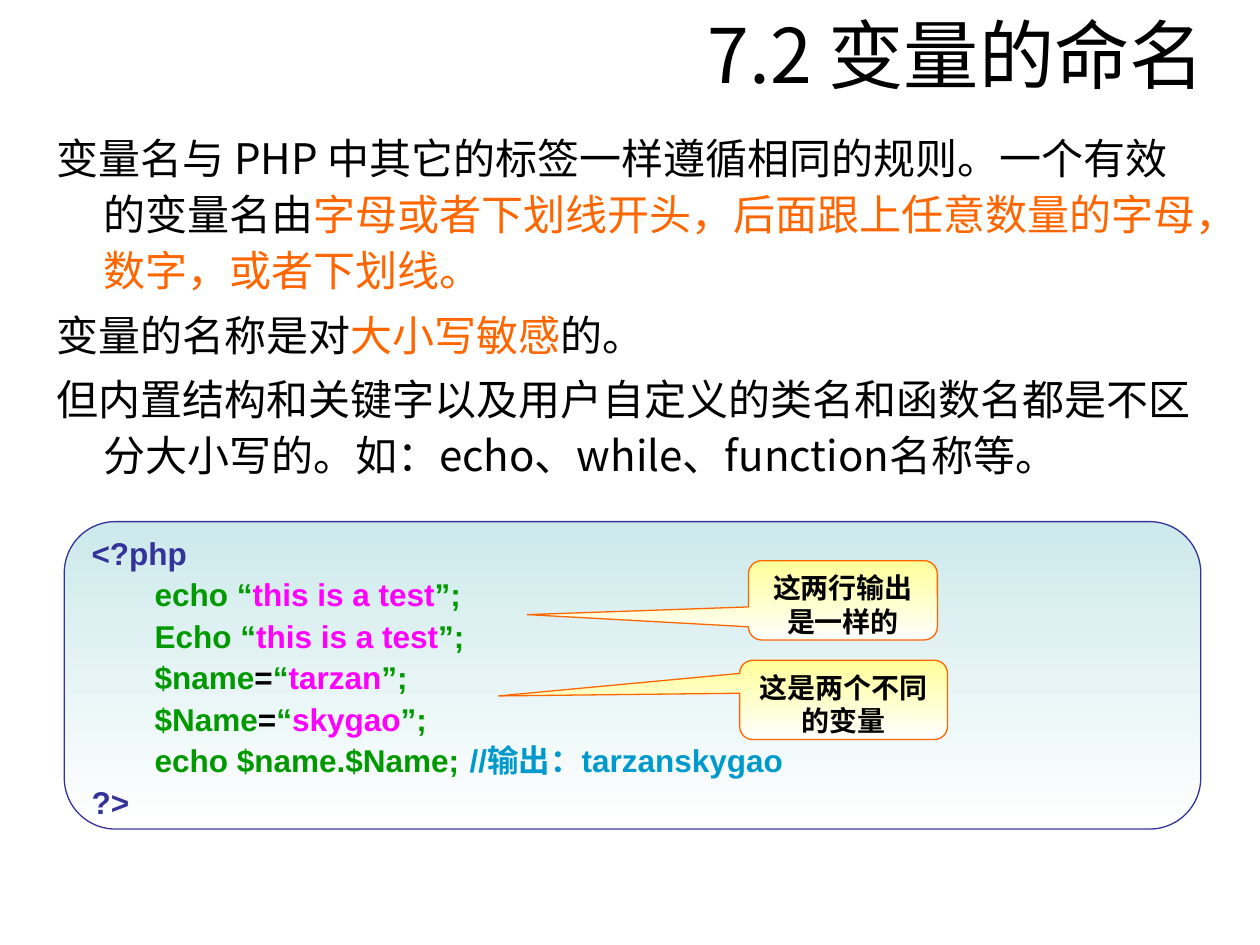
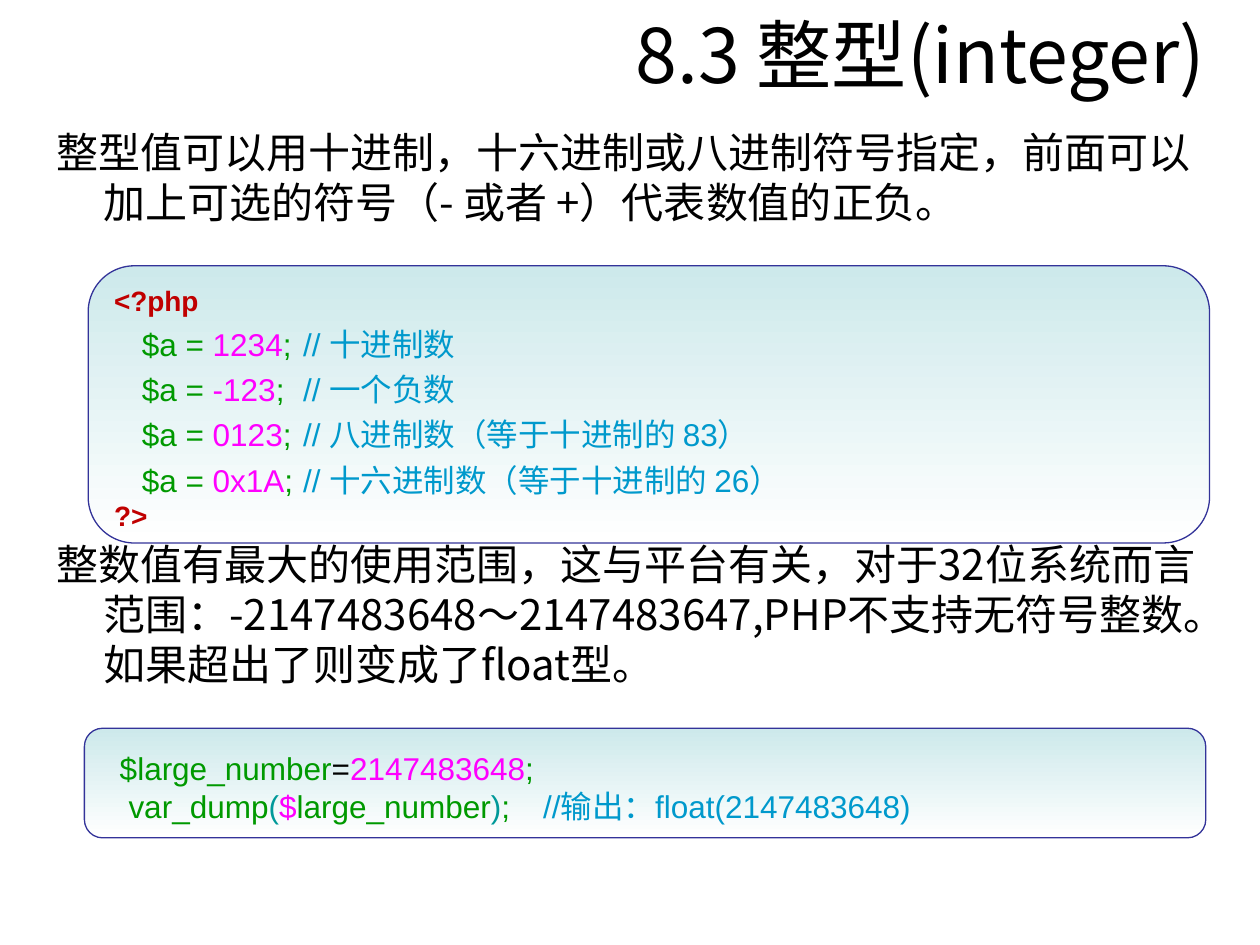
import pptx
import pptx.util
import pptx.dml.color
import pptx.enum.shapes
import pptx.enum.text
import pptx.oxml.ns
import lxml.etree

WIDE, HIGH = 10, 7.5
COLS, ROWS = 100, 75
HAN, CODE = "Noto Sans CJK SC", "Arial"
BLACK, ORANGE, NAVY = "000000", "FF6600", "333399"
GREEN, PINK, BLUE = "009900", "FF00FF", "0099CC"
RED, TEAL = "C00000", "009999"
ICE, CREAM, WHITE = "CDE9EB", "FFFF99", "FFFFFF"
SHAPES = pptx.enum.shapes.MSO_SHAPE
ALIGN = pptx.enum.text.PP_ALIGN
ANCHOR = pptx.enum.text.MSO_ANCHOR


def paint(color, code):
    color.rgb = pptx.dml.color.RGBColor.from_string(code)


def grid(col, row, cols, rows):
    inch = pptx.util.Inches
    return (inch(col * WIDE / COLS), inch(row * HIGH / ROWS),
            inch(cols * WIDE / COLS), inch(rows * HIGH / ROWS))


def move(shape, area):
    shape.left, shape.top, shape.width, shape.height = area


def style(para, face, size, bold=False):
    para.font.name = face
    para.font.size = pptx.util.Pt(size)
    para.font.bold = bold
    tag = pptx.oxml.ns.qn
    props = para._p.get_or_add_pPr().find(tag("a:defRPr"))
    lxml.etree.SubElement(props, tag("a:ea")).set("typeface", HAN)


def indent(para, left, first):
    props = para._p.get_or_add_pPr()
    props.set("marL", str(pptx.util.Inches(left)))
    props.set("indent", str(pptx.util.Inches(first)))


def plain(para):
    tag = pptx.oxml.ns.qn
    props = para._p.get_or_add_pPr()
    mark = lxml.etree.Element(tag("a:buNone"))
    props.find(tag("a:defRPr")).addprevious(mark)


def write(para, runs):
    for text, code in runs:
        run = para.add_run()
        run.text = text
        paint(run.font.color, code)


def lines(frame, count):
    return [frame.paragraphs[0]] + [frame.add_paragraph() for _ in range(count - 1)]


def page(deck, title, body, pitch, gaps):
    slide = deck.slides.add_slide(deck.slide_layouts[1])
    head, text = slide.placeholders
    move(head, grid(27.9, 0.8, 68.7, 6.9))
    head.text_frame.auto_size = pptx.enum.text.MSO_AUTO_SIZE.NONE
    head.text_frame.vertical_anchor = ANCHOR.MIDDLE
    para = head.text_frame.paragraphs[0]
    para.alignment = ALIGN.RIGHT
    style(para, HAN, 43)
    write(para, [(title, BLACK)])
    move(text, grid(3.5, 9.6, 93, 55))
    text.text_frame.auto_size = pptx.enum.text.MSO_AUTO_SIZE.NONE
    for para, runs, gap in zip(lines(text.text_frame, len(body)), body, gaps):
        indent(para, 0.37, -0.37)
        para.line_spacing = pptx.util.Pt(pitch)
        para.space_before = pptx.util.Pt(gap)
        style(para, HAN, 24)
        plain(para)
        write(para, runs)
    return slide


def panel(slide, kind, area, top, edge):
    shape = slide.shapes.add_shape(kind, *grid(*area))
    shape.shadow.inherit = False
    shape.fill.gradient()
    shape.fill.gradient_angle = 270
    for stop, code in zip(shape.fill.gradient_stops, (top, WHITE)):
        paint(stop.color, code)
    paint(shape.line.color, edge)
    shape.line.width = pptx.util.Pt(0.75)
    shape.text_frame.word_wrap = True
    return shape


def listing(slide, area, rows):
    shape = panel(slide, SHAPES.FLOWCHART_ALTERNATE_PROCESS, area, ICE, NAVY)
    shape.text_frame.vertical_anchor = ANCHOR.MIDDLE
    paras = lines(shape.text_frame, len(rows))
    for para, (runs, size, bold, space, first) in zip(paras, rows):
        para.alignment = ALIGN.LEFT
        para.line_spacing = space
        indent(para, 0, first)
        style(para, CODE, size, bold)
        write(para, runs)


def callout(slide, area, tip, text):
    shape = panel(slide, SHAPES.ROUNDED_RECTANGULAR_CALLOUT, area, CREAM, ORANGE)
    for at, value in enumerate((*tip, 0.167)):
        shape.adjustments[at] = value
    shape.text_frame.vertical_anchor = ANCHOR.TOP
    para = shape.text_frame.paragraphs[0]
    para.alignment = ALIGN.CENTER
    style(para, CODE, 16, True)
    write(para, [(text, BLACK)])


def naming(deck):
    slide = page(deck, "7.2 变量的命名", [
        [("变量名与 PHP 中其它的标签一样遵循相同的规则。一个有效的变量名由", BLACK),
         ("字母或者下划线开头，后面跟上任意数量的字母，数字，或者下划线。", ORANGE)],
        [("变量的名称是对", BLACK), ("大小写敏感", ORANGE), ("的。", BLACK)],
        [("但内置结构和关键字以及用户自定义的类名和函数名都是不区分大小写的。"
          "如：echo、while、function名称等。", BLACK)],
    ], 32, (4.8, 4.8, 4.8))
    echoes = [[(f"\t{word} “", GREEN), ("this is a test", PINK), ("”;", GREEN)]
              for word in ("echo", "Echo")]
    names = [[(f"\t{name}", GREEN), ("=", BLACK), ("“", GREEN),
              (value, PINK), ("”;", GREEN)]
             for name, value in (("$name", "tarzan"), ("$Name", "skygao"))]
    result = [("\techo $name.$Name;\t", GREEN), ("//输出：tarzanskygao", BLUE)]
    code = [[("<?php", NAVY)], *echoes, *names, result, [("?>", NAVY)]]
    listing(slide, (5.1, 41.4, 90.2, 24.4),
            [(runs, 18, True, 1.1, 0) for runs in code])
    callout(slide, (59.4, 44.5, 15, 6.3), (-1.67, 0.18), "这两行输出是一样的")
    callout(slide, (58.7, 52.4, 16.5, 6.3), (-1.66, -0.05), "这是两个不同的变量")


def integers(deck):
    slide = page(deck, "8.3 整型(integer)", [
        [("整型值可以用十进制，十六进制或八进制符号指定，前面可以加上可选的符号"
          "（- 或者 +）代表数值的正负。", BLACK)],
        [("整数值有最大的使用范围，这与平台有关，对于32位系统而言范围："
          "-2147483648～2147483647,PHP不支持无符号整数。"
          "如果超出了则变成了float型。", BLACK)],
    ], 28.6, (4.8, 178))
    values = (("1234", "十进制数"), ("-123", "一个负数"),
              ("0123", "八进制数（等于十进制的 83）"),
              ("0x1A", "十六进制数（等于十进制的 26）"))
    sets = [([("$a = ", GREEN), (value, PINK), ("; \t", GREEN),
              (f"// {note}", BLUE)], 18, False, 1.2, 0.22)
            for value, note in values]
    listing(slide, (7, 21.1, 89, 22), [
        ([("<?php", RED)], 16, True, 1.2, 0), *sets,
        ([("?>", RED)], 16, True, 1, 0)])
    listing(slide, (6.7, 57.8, 89, 8.7), [
        ([("$large_number", GREEN), ("=", BLACK), ("2147483648", PINK),
          (";", GREEN)], 18, False, 1.2, 0.14),
        ([("var_dump", GREEN), ("(", TEAL), ("$", PINK), ("large_number", GREEN),
          (")", TEAL), (";\t", GREEN), ("//输出：float(2147483648)", BLUE)],
         18, False, 1, 0.21)])


def main():
    deck = pptx.Presentation()
    deck.slide_width = pptx.util.Inches(WIDE)
    deck.slide_height = pptx.util.Inches(HIGH)
    naming(deck)
    integers(deck)
    deck.save("out.pptx")


main()
